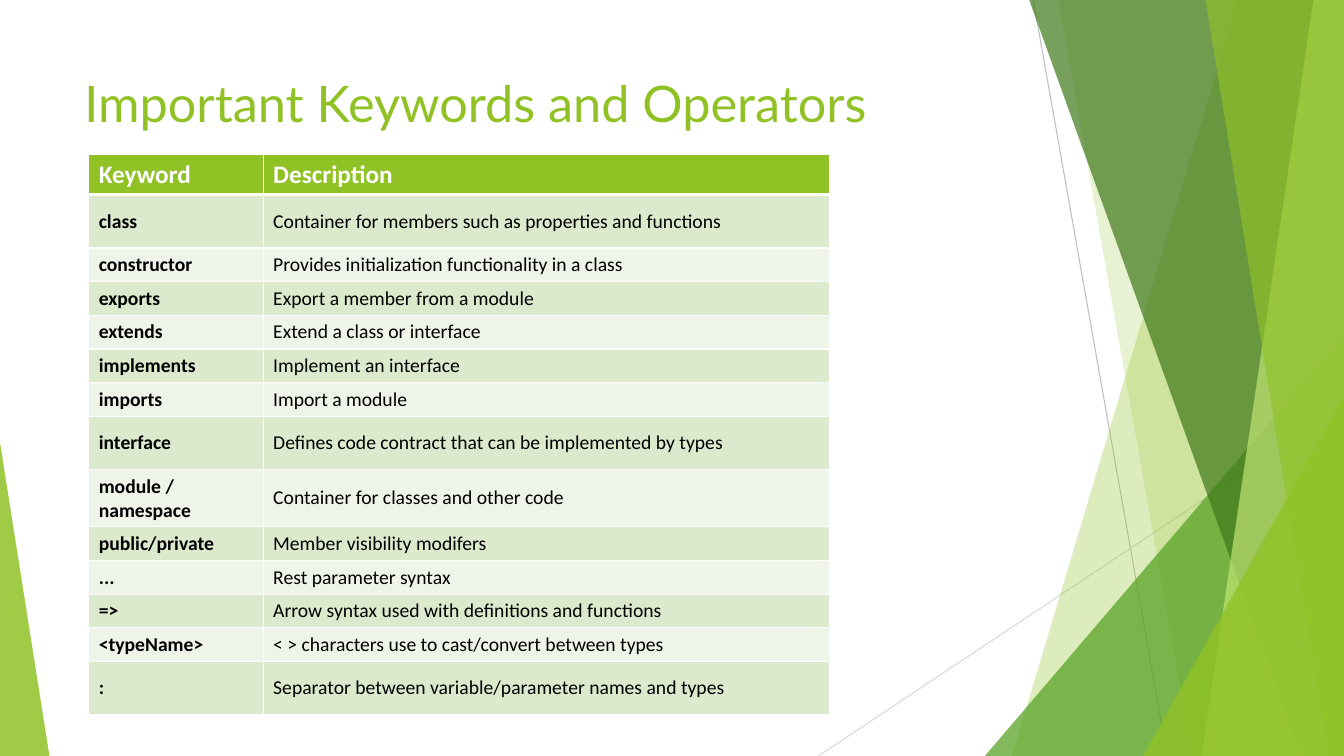
import pptx
import pptx.util
import pptx.dml.color
import pptx.enum.shapes
import pptx.enum.text
import pptx.oxml
import pptx.oxml.ns

RGBColor = pptx.dml.color.RGBColor
MSO_SHAPE = pptx.enum.shapes.MSO_SHAPE
ANCHOR = pptx.enum.text.MSO_ANCHOR

LIME = RGBColor(0x90, 0xC2, 0x26)
GREEN = RGBColor(0x54, 0xA0, 0x21)
FOREST = RGBColor(0x3F, 0x78, 0x19)
PALE_LIME = RGBColor(0xC0, 0xE4, 0x74)
GREY = RGBColor(0xBF, 0xBF, 0xBF)
LIGHT_GREY = RGBColor(0xD9, 0xD9, 0xD9)
BAND_DARK = RGBColor(0xDB, 0xE9, 0xCD)
BAND_LIGHT = RGBColor(0xEE, 0xF4, 0xE8)
WHITE = RGBColor(0xFF, 0xFF, 0xFF)
BLACK = RGBColor(0x00, 0x00, 0x00)

TITLE = "Important Keywords and Operators"
HEADER = ("Keyword", "Description")
KEYWORDS = [
    ("class", "Container for members such as properties and functions"),
    ("constructor", "Provides initialization functionality in a class"),
    ("exports", "Export a member from a module"),
    ("extends", "Extend a class or interface"),
    ("implements", "Implement an interface"),
    ("imports", "Import a module"),
    ("interface", "Defines code contract that can be implemented by types"),
    ("module / namespace", "Container for classes and other code"),
    ("public/private", "Member visibility modifers"),
    ("...", "Rest parameter syntax"),
    ("=>", "Arrow syntax used with definitions and functions"),
    ("<typeName>", "< > characters use to cast/convert between types"),
    (":", "Separator between variable/parameter names and types"),
]
TALL_ROWS = {"class", "interface", "module / namespace", ":"}

# Lengths below are percentages of the slide's width or height.
TITLE_BOX = (5.55, 8.93, 70.5, 19.2)
TABLE_LEFT, TABLE_TOP = 6.6, 20.4
COLUMN_WIDTHS = (12.98, 42.15)
ROW_HEIGHT, TALL_HEIGHT = 4, 7.07

# Start x, start y, end x, end y, colour
HAIRLINES = [
    (76.88, 0, 86.85, 100, GREY),
    (100, 53.73, 60.9, 100, LIGHT_GREY),
]
# Panels run to the right edge: top-left x, bottom-left x.
# Triangles stand on the bottom edge: left, top, width, apex position.
SHARDS = [
    ("panel", (92.1, 75.3), LIME, 30),
    ("panel", (78.75, 88.73), LIME, 20),
    ("triangle", (73.28, 44.4, 26.72, 1), GREEN, 72),
    ("panel", (76.58, 96.83), FOREST, 70),
    ("panel", (97.73, 89.4), PALE_LIME, 70),
    ("panel", (89.7, 98.85), LIME, 65),
    ("triangle", (85.05, 52.4, 14.95, 1), LIME, 80),
    ("triangle", (0, 58.53, 3.68, 0), LIME, 85),
]

deck = pptx.Presentation()
deck.slide_width = pptx.util.Inches(13.33)
deck.slide_height = pptx.util.Inches(7.5)
page = deck.slides.add_slide(deck.slide_layouts[6])


def across(share):
    return round(deck.slide_width * share / 100)


def down(share):
    return round(deck.slide_height * share / 100)


def add_xml(parent, tag, **attributes):
    child = pptx.oxml.parse_xml(f"<{tag} {pptx.oxml.ns.nsdecls('a')}/>")
    for name, value in attributes.items():
        child.set(name, str(value))
    parent.append(child)
    return child


def write(frame, text, **font_format):
    span = frame.paragraphs[0].add_run()
    span.text = text
    span.font.color.rgb = font_format.pop("color")
    for name, value in font_format.items():
        setattr(span.font, name, value)


def add_hairline(start_x, start_y, end_x, end_y, color):
    line = page.shapes.add_connector(
        pptx.enum.shapes.MSO_CONNECTOR.STRAIGHT,
        across(start_x), down(start_y), across(end_x), down(end_y))
    line.line.color.rgb = color
    line.line.width = pptx.util.Pt(0.75)
    add_xml(line.element.spPr, "a:effectLst")


def add_panel(top_left, bottom_left):
    corners = [(100, 0), (100, 100), (bottom_left, 100)]
    builder = page.shapes.build_freeform(across(top_left), 0)
    builder.add_line_segments([(across(x), down(y)) for x, y in corners], close=True)
    return builder.convert_to_shape()


def add_triangle(left, top, width, apex):
    shape = page.shapes.add_shape(
        MSO_SHAPE.ISOSCELES_TRIANGLE,
        across(left), down(top), across(width), down(100 - top))
    shape.adjustments[0] = apex
    return shape


def add_shard(kind, geometry, color, opacity):
    shape = {"panel": add_panel, "triangle": add_triangle}[kind](*geometry)
    shape.shadow.inherit = False
    shape.line.fill.background()
    shape.fill.solid()
    shape.fill.fore_color.rgb = color
    color_node = shape.element.spPr.find(".//" + pptx.oxml.ns.qn("a:srgbClr"))
    add_xml(color_node, "a:alpha", val=opacity * 1000)


def add_borders(cell, bottom_width):
    """Give a cell white borders; they must precede its fill in the XML."""
    properties = cell._tc.get_or_add_tcPr()
    widths = {"a:lnL": 1, "a:lnR": 1, "a:lnT": 1, "a:lnB": bottom_width}
    for side, width in widths.items():
        border = add_xml(properties, side, w=pptx.util.Pt(width))
        add_xml(add_xml(border, "a:solidFill"), "a:srgbClr", val=WHITE)


def add_title():
    left, top, width, height = TITLE_BOX
    box = page.shapes.add_textbox(across(left), down(top), across(width), down(height))
    box.text_frame.word_wrap = True
    write(box.text_frame, TITLE, name="Lato", size=pptx.util.Pt(36), color=LIME)


def add_keyword_table():
    rows = [HEADER] + KEYWORDS
    heights = [TALL_HEIGHT if row[0] in TALL_ROWS else ROW_HEIGHT for row in rows]
    table = page.shapes.add_table(
        len(rows), len(HEADER), across(TABLE_LEFT), down(TABLE_TOP),
        across(sum(COLUMN_WIDTHS)), down(sum(heights))).table
    for column, width in zip(table.columns, COLUMN_WIDTHS):
        column.width = across(width)
    for row_index, texts in enumerate(rows):
        is_header = row_index == 0
        table.rows[row_index].height = down(heights[row_index])
        band = LIME if is_header else (BAND_LIGHT, BAND_DARK)[row_index % 2]
        for column_index, text in enumerate(texts):
            cell = table.cell(row_index, column_index)
            add_borders(cell, 3 if is_header else 1)
            cell.fill.solid()
            cell.fill.fore_color.rgb = band
            cell.vertical_anchor = ANCHOR.MIDDLE
            write(cell.text_frame, text, name="Calibri",
                  size=pptx.util.Pt(18 if is_header else 14),
                  bold=is_header or column_index == 0,
                  color=WHITE if is_header else BLACK)


for hairline in HAIRLINES:
    add_hairline(*hairline)
for shard in SHARDS:
    add_shard(*shard)
add_title()
add_keyword_table()
deck.save("out.pptx")
